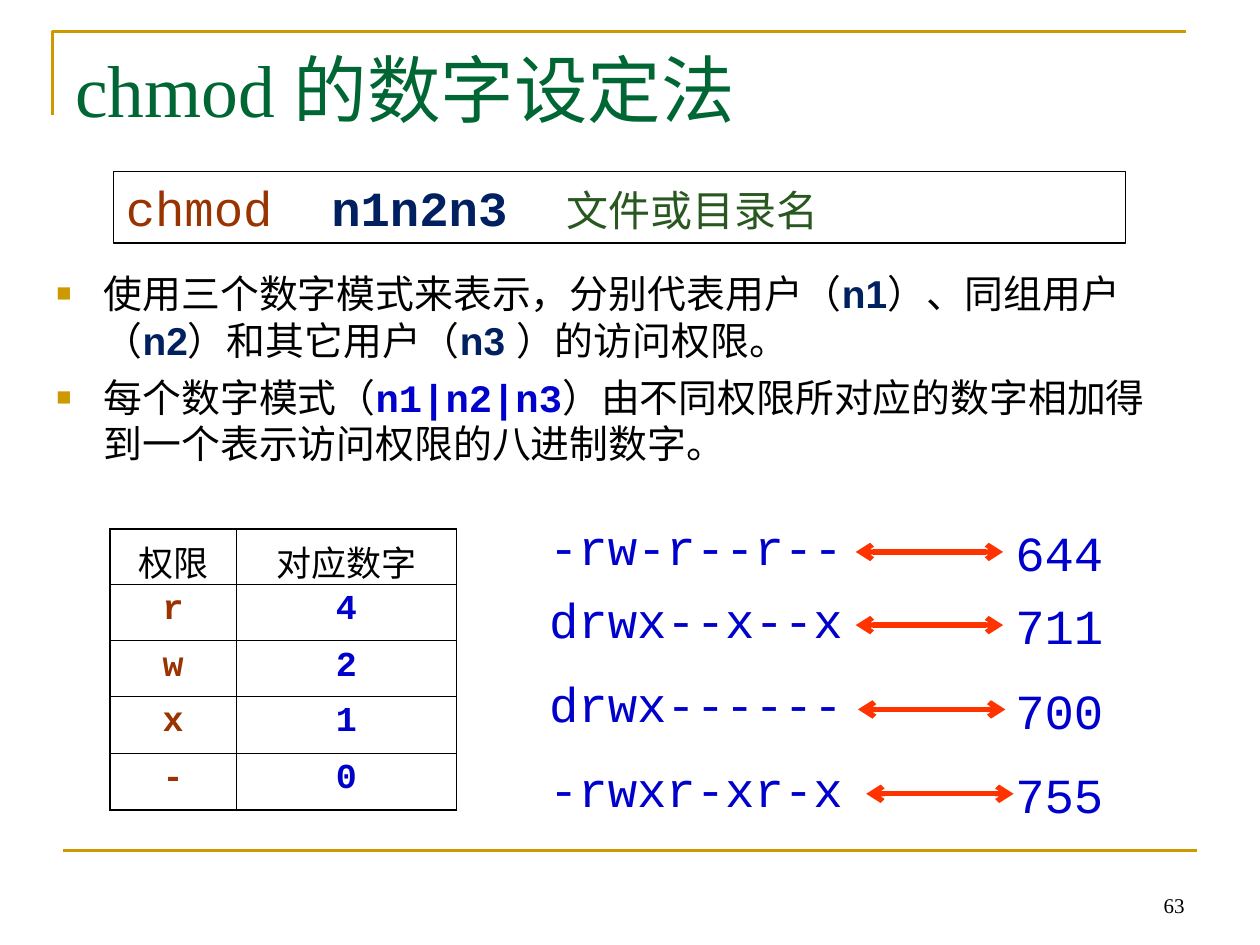
from lxml import etree
from pptx import Presentation
from pptx.dml.color import RGBColor
from pptx.enum import shapes, text
from pptx.oxml import ns
from pptx.util import Pt

SERIF, SANS, MONO = "Times New Roman", "Arial", "Courier New"
BLACK, GOLD, GREEN = "000000", "CC9900", "006633"
BROWN, NAVY, BLUE, RED = "993300", "002060", "0000CC", "FF3300"

TITLE = [("chmod 的数字设定法", 42, SERIF, GREEN, False)]
SYNTAX = [
    ("chmod  ", 28, MONO, BROWN, False),
    ("n1n2n3  ", 28, MONO, NAVY, True),
    ("文件或目录名", 24, "Noto Sans Mono", "28571F", False),
]
PLAIN = (22.2, SANS, BLACK, False)
STRONG = (22.2, SANS, NAVY, True)
BULLETS = [
    [
        ("使用三个数字模式来表示，分别代表用户（", *PLAIN),
        ("n1", *STRONG),
        ("）、同组用户（", *PLAIN),
        ("n2", *STRONG),
        ("）和其它用户（", *PLAIN),
        ("n3 ", *STRONG),
        ("）的访问权限。", *PLAIN),
    ],
    [
        ("每个数字模式（", *PLAIN),
        ("n1|n2|n3", 22.2, MONO, BLUE, True),
        ("）由不同权限所对应的数字相加得到一个表示访问权限的八进制数字。", *PLAIN),
    ],
]
PAGE_NUMBER = [("63", 12, SERIF, BLACK, False)]
PERMISSIONS = [("权限", "对应数字"), ("r", "4"), ("w", "2"), ("x", "1"), ("-", "0")]
COLUMN_WIDTHS = [72, 126]
ROW_HEIGHTS = [31, 32.4, 32, 32.4, 32.4]
EXAMPLES = [
    ("-rw-r--r--", "644", 291.6, 489),
    ("drwx--x--x", "711", 333.4, 489),
    ("drwx------", "700", 381.6, 490.3),
    ("-rwxr-xr-x", "755", 429.8, 495),
]
ARROW_LENGTH = 84.2


def color(value):
    return RGBColor.from_string(value)


def add_xml(parent, tag, **attributes):
    return etree.SubElement(parent, ns.qn(tag), attributes)


def set_line(line, value, width):
    line.color.rgb = color(value)
    line.width = Pt(width)


def write(para, spans):
    for words, size, font, value, bold in spans:
        span = para.add_run()
        span.text = words
        span.font.size = Pt(size)
        span.font.name = font
        span.font.bold = bold
        span.font.color.rgb = color(value)


def add_text(page, area, spans, wrap=True):
    box = page.shapes.add_textbox(*map(Pt, area))
    box.text_frame.word_wrap = wrap
    write(box.text_frame.paragraphs[0], spans)
    return box


def add_line(page, start, end, value, width, arrows=False):
    line = page.shapes.add_connector(
        shapes.MSO_CONNECTOR.STRAIGHT, *map(Pt, (*start, *end)))
    set_line(line.line, value, width)
    if arrows:
        outline = line.line._get_or_add_ln()
        for tag in ("a:headEnd", "a:tailEnd"):
            add_xml(outline, tag, type="arrow")
    add_xml(line._element.spPr, "a:effectLst")


def add_frame(page):
    builder = page.shapes.build_freeform(Pt(30), Pt(66))
    builder.add_line_segments([(Pt(30), Pt(18)), (Pt(678), Pt(18))], close=False)
    corner = builder.convert_to_shape()
    corner.shadow.inherit = False
    corner.fill.background()
    set_line(corner.line, GOLD, 1.5)
    add_line(page, (36, 486), (684, 486), GOLD, 1.5)


def add_syntax(page):
    box = page.shapes.add_shape(
        shapes.MSO_SHAPE.RECTANGLE, *map(Pt, (64.8, 97.9, 578.2, 41)))
    box.shadow.inherit = False
    box.fill.background()
    set_line(box.line, BLACK, 0.75)
    box.text_frame.word_wrap = True
    box.text_frame.vertical_anchor = text.MSO_ANCHOR.TOP
    para = box.text_frame.paragraphs[0]
    para.alignment = text.PP_ALIGN.LEFT
    write(para, SYNTAX)


def add_bullets(page):
    frame = add_text(page, (25.2, 150.5, 648, 121.7), []).text_frame
    for index, spans in enumerate(BULLETS):
        para = frame.add_paragraph() if index else frame.paragraphs[0]
        para.space_before = Pt(6)
        write(para, spans)
        props = para._p.get_or_add_pPr()
        props.set("marL", str(Pt(27)))
        props.set("indent", str(-Pt(27)))
        add_xml(add_xml(props, "a:buClr"), "a:srgbClr", val=GOLD)
        add_xml(props, "a:buSzPct", val="65000")
        add_xml(props, "a:buFont", typeface=SANS)
        add_xml(props, "a:buChar", char="■")


def set_borders(cell, widths):
    props = cell._tc.get_or_add_tcPr()
    for tag, width in zip(("a:lnL", "a:lnR", "a:lnT", "a:lnB"), widths):
        border = add_xml(props, tag, w=str(Pt(width)))
        add_xml(add_xml(border, "a:solidFill"), "a:srgbClr", val=BLACK)


def add_permissions(page):
    rows, columns = len(ROW_HEIGHTS), len(COLUMN_WIDTHS)
    table = page.shapes.add_table(
        rows, columns, Pt(62.9), Pt(302.4),
        Pt(sum(COLUMN_WIDTHS)), Pt(sum(ROW_HEIGHTS))).table
    table.first_row = table.horz_banding = False
    for column, width in zip(table.columns, COLUMN_WIDTHS):
        column.width = Pt(width)
    for row, height in zip(table.rows, ROW_HEIGHTS):
        row.height = Pt(height)
    for r, words in enumerate(PERMISSIONS):
        for c, word in enumerate(words):
            cell = table.cell(r, c)
            outer = (c == 0, c == columns - 1, r == 0, r == rows - 1)
            inner = (0.45, 0.45, 0.23 if r > 2 else 0.45, 0.23 if r > 1 else 0.45)
            set_borders(cell, [1.08 if o else i for o, i in zip(outer, inner)])
            cell.fill.background()
            para = cell.text_frame.paragraphs[0]
            para.alignment = text.PP_ALIGN.CENTER
            para.space_before = Pt(5)
            style = (MONO, (BROWN, BLUE)[c], True) if r else (SERIF, BLACK, False)
            write(para, [(word, 20, *style)])


def add_examples(page):
    for mode, number, top, arrow_left in EXAMPLES:
        add_text(page, (306.7, top, 182.2, 41), [(mode, 28, MONO, BLUE, False)], False)
        add_text(page, (573.1, top + 3.6, 64.8, 41),
                 [(number, 28, MONO, BLUE, False)], False)
        middle = top + 23.8
        add_line(page, (arrow_left, middle), (arrow_left + ARROW_LENGTH, middle),
                 RED, 3, arrows=True)


def main():
    deck = Presentation()
    deck.slide_width, deck.slide_height = Pt(720), Pt(540)
    page = deck.slides.add_slide(deck.slide_layouts[6])
    add_frame(page)
    add_text(page, (36, 21.6, 648, 90), TITLE)
    add_bullets(page)
    footer = add_text(page, (516.2, 491.8, 167.8, 36), PAGE_NUMBER).text_frame
    footer.vertical_anchor = text.MSO_ANCHOR.BOTTOM
    footer.paragraphs[0].alignment = text.PP_ALIGN.RIGHT
    add_syntax(page)
    add_permissions(page)
    add_examples(page)
    deck.save("out.pptx")


if __name__ == "__main__":
    main()
